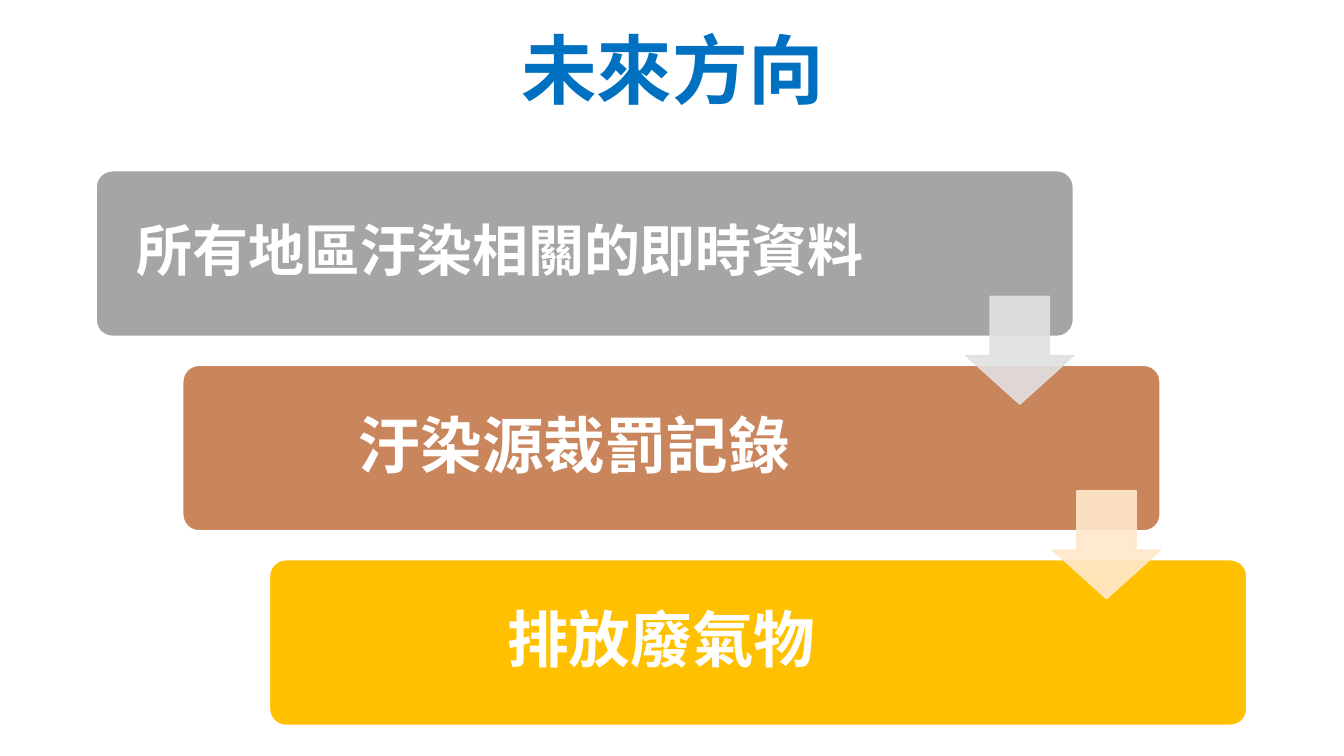
from dataclasses import dataclass

from lxml.etree import SubElement
from pptx import Presentation
from pptx.dml.color import RGBColor
from pptx.enum.shapes import MSO_SHAPE as Preset
from pptx.enum.text import MSO_ANCHOR as Anchor, PP_ALIGN as Align
from pptx.oxml.ns import qn
from pptx.shapes.autoshape import Shape
from pptx.slide import Slide
from pptx.util import Inches, Pt

FONT = "Noto Sans CJK SC"
COLORS = {
    "white": "FFFFFF",
    "title": "0070C0",
    "gray": "A5A5A5",
    "brown": "C9855C",
    "gold": "FFC000",
    "pale_gray": "E1E1E1",
    "pale_orange": "FFE8CB",
}
FIRST_LEFT, FIRST_TOP = 0.95, 1.69
STEP_RIGHT, STEP_DOWN = 0.86, 1.93
BAR_WIDTH, BAR_HEIGHT = 9.7, 1.65
TEXT_OFFSET = 0.05
ARROW_RIGHT, ARROW_DOWN, ARROW_SIZE = 8.63, 1.25, 1.07


@dataclass
class Direction:
    text: str
    color: str
    size: int
    text_width: float
    inset: float
    arrow_color: str | None = None


DIRECTIONS = [
    Direction("所有地區汙染相關的即時資料", "gray", 40, 7.92, 0.17, "pale_gray"),
    Direction("汙染源裁罰記錄", "brown", 44, 7.68, 0.18, "pale_orange"),
    Direction("排放廢氣物", "gold", 44, 7.68, 0.18),
]


def rgb(name: str) -> RGBColor:
    return RGBColor.from_string(COLORS[name])


def add_text(page: Slide, left: float, top: float, width: float, height: float,
             text: str, size: int, color: str, inset: float | None = None) -> None:
    box = page.shapes.add_textbox(Inches(left), Inches(top), Inches(width), Inches(height))
    frame = box.text_frame
    frame.word_wrap = True
    frame.vertical_anchor = Anchor.MIDDLE
    if inset is not None:
        frame.margin_left = frame.margin_right = Inches(inset)
        frame.margin_top = frame.margin_bottom = Inches(inset)
    para = frame.paragraphs[0]
    para.alignment = Align.CENTER
    para.line_spacing = 0.9
    span = para.add_run()
    span.text = text
    font = span.font
    font.name, font.size, font.bold = FONT, Pt(size), True
    font.color.rgb = rgb(color)
    SubElement(font._element, qn("a:ea")).set("typeface", FONT)


def add_preset(page: Slide, preset: Preset, left: float, top: float, width: float,
               height: float, adjustments: list[float], fill: str, line: str,
               line_width: float) -> Shape:
    shape = page.shapes.add_shape(
        preset, Inches(left), Inches(top), Inches(width), Inches(height))
    shape.shadow.inherit = False
    for index, value in enumerate(adjustments):
        shape.adjustments[index] = value
    shape.fill.solid()
    shape.fill.fore_color.rgb = rgb(fill)
    shape.line.color.rgb = rgb(line)
    shape.line.width = Pt(line_width)
    return shape


def set_opacity(shape: Shape, percent: int) -> None:
    """Apply the opacity to both the fill and the outline."""
    for color in shape._element.spPr.iter(qn("a:srgbClr")):
        SubElement(color, qn("a:alpha")).set("val", str(percent * 1000))


def add_bar(page: Slide, direction: Direction, left: float, top: float) -> None:
    add_preset(page, Preset.ROUNDED_RECTANGLE, left, top, BAR_WIDTH, BAR_HEIGHT,
               [0.1], direction.color, "white", 1.5)
    add_text(page, left + TEXT_OFFSET, top + TEXT_OFFSET, direction.text_width,
             BAR_HEIGHT - 2 * TEXT_OFFSET, direction.text, direction.size, "white",
             direction.inset)


def add_arrow(page: Slide, color: str, left: float, top: float) -> None:
    arrow = add_preset(page, Preset.DOWN_ARROW, left, top, ARROW_SIZE, ARROW_SIZE,
                       [0.55, 0.45], color, color, 1)
    set_opacity(arrow, 90)


def main() -> None:
    deck = Presentation()
    deck.slide_width, deck.slide_height = Inches(13.33), Inches(7.5)
    page = deck.slides.add_slide(deck.slide_layouts[6])

    places = [(FIRST_LEFT + STEP_RIGHT * step, FIRST_TOP + STEP_DOWN * step)
              for step in range(len(DIRECTIONS))]
    for direction, (left, top) in zip(DIRECTIONS, places):
        add_bar(page, direction, left, top)
    for direction, (left, top) in zip(DIRECTIONS, places):
        if direction.arrow_color:
            add_arrow(page, direction.arrow_color, left + ARROW_RIGHT, top + ARROW_DOWN)
    add_text(page, 1.75, 0.11, 9.84, 1.25, "未來方向", 54, "title")

    deck.save("out.pptx")


if __name__ == "__main__":
    main()
